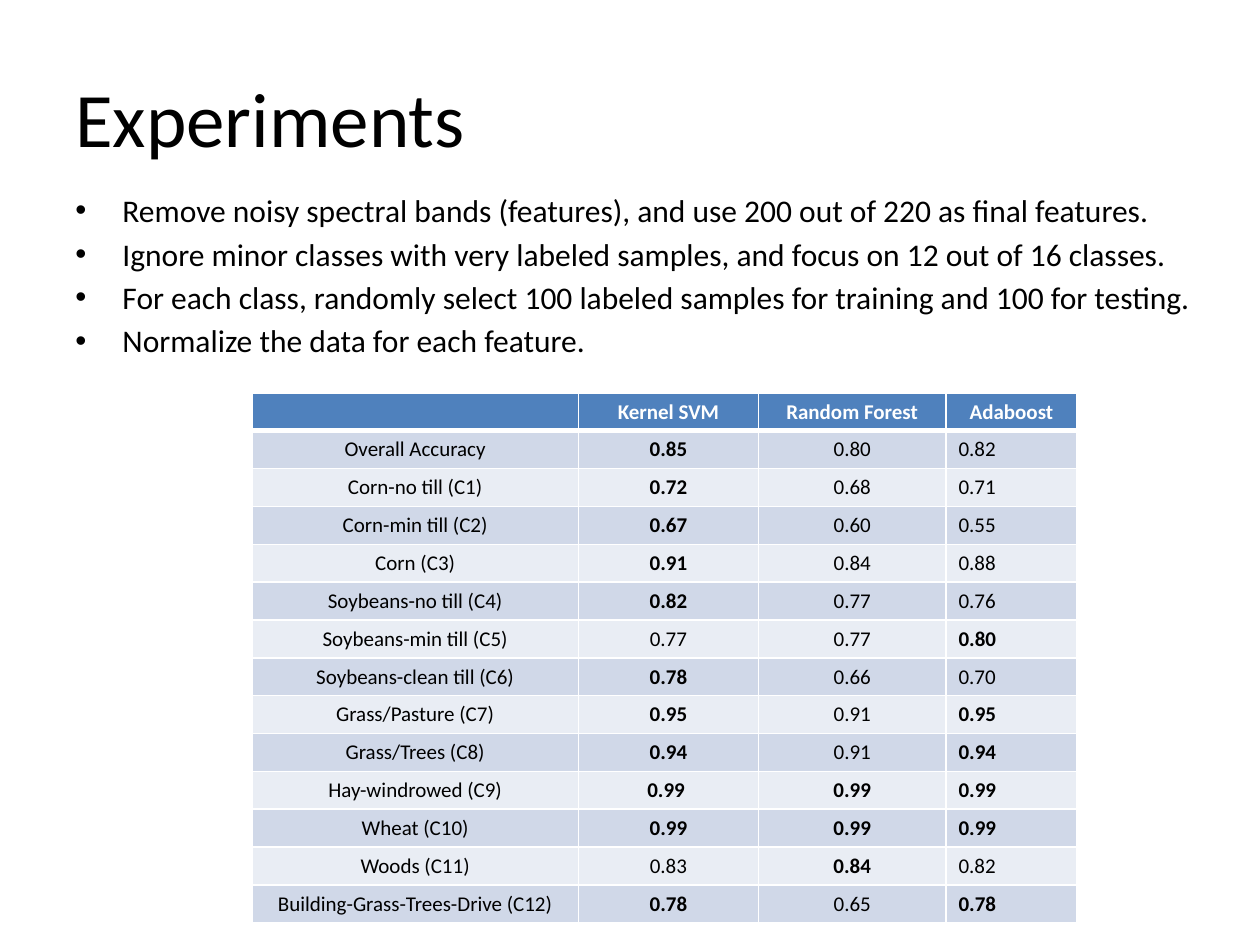
import pptx
import pptx.util
import pptx.dml.color
import pptx.enum.text
import pptx.oxml.ns
from lxml import etree
from pptx.util import Cm

BLACK = pptx.dml.color.RGBColor(0x00, 0x00, 0x00)
WHITE = pptx.dml.color.RGBColor(0xFF, 0xFF, 0xFF)
HEADER_BLUE = pptx.dml.color.RGBColor(0x4F, 0x81, 0xBD)
BAND_DARK = pptx.dml.color.RGBColor(0xD0, 0xD8, 0xE8)
BAND_LIGHT = pptx.dml.color.RGBColor(0xE9, 0xED, 0xF4)

BULLETS = [
    "Remove noisy spectral bands (features), and use 200 out of 220 as final features.",
    "Ignore minor classes with very labeled samples, and focus on 12 out of 16 classes.",
    "For each class, randomly select 100 labeled samples for training and 100 for testing.",
    "Normalize the data for each feature.",
]
HEADERS = ["", "Kernel SVM", "Random Forest", "Adaboost"]
ACCURACIES = [
    ("Overall Accuracy", "0.85", "0.80", "0.82"),
    ("Corn-no till (C1)", "0.72", "0.68", "0.71"),
    ("Corn-min till (C2)", "0.67", "0.60", "0.55"),
    ("Corn (C3)", "0.91", "0.84", "0.88"),
    ("Soybeans-no till (C4)", "0.82", "0.77", "0.76"),
    ("Soybeans-min till (C5)", "0.77", "0.77", "0.80"),
    ("Soybeans-clean till (C6)", "0.78", "0.66", "0.70"),
    ("Grass/Pasture (C7)", "0.95", "0.91", "0.95"),
    ("Grass/Trees (C8)", "0.94", "0.91", "0.94"),
    ("Hay-windrowed (C9)", "0.99 ", "0.99", "0.99"),
    ("Wheat (C10)", "0.99", "0.99", "0.99"),
    ("Woods (C11)", "0.83", "0.84", "0.82"),
    ("Building-Grass-Trees-Drive (C12)", "0.78", "0.65", "0.78"),
]


class SlideBuilder:
    font_name = "Calibri"
    title_size = 44
    body_size = 18
    table_size = 12

    def __init__(self, slide):
        self.slide = slide

    def format_runs(self, paragraph, size, color=BLACK, bold=False):
        for run in paragraph.runs:
            run.font.name = self.font_name
            run.font.size = pptx.util.Pt(size)
            run.font.color.rgb = color
            run.font.bold = bold

    def text_frame(self, left, top, width, height):
        shape = self.slide.shapes.add_textbox(left, top, width, height)
        shape.text_frame.word_wrap = True
        return shape.text_frame

    def title(self, text, *box):
        frame = self.text_frame(*box)
        frame.vertical_anchor = pptx.enum.text.MSO_ANCHOR.MIDDLE
        frame.text = text
        self.format_runs(frame.paragraphs[0], self.title_size)

    def bullets(self, lines, *box):
        frame = self.text_frame(*box)
        frame.text = "\n".join(lines)
        indent = Cm(0.95)
        for paragraph in frame.paragraphs:
            paragraph.space_before = pptx.util.Pt(3.2)
            self.format_runs(paragraph, self.body_size)
            properties = paragraph._p.get_or_add_pPr()
            properties.set("marL", str(indent))
            properties.set("indent", str(-indent))
            for tag, name, value in (("a:buFont", "typeface", "Arial"), ("a:buChar", "char", "•")):
                etree.SubElement(properties, pptx.oxml.ns.qn(tag)).set(name, value)

    def cell_borders(self, cell, bottom_width):
        properties = cell._tc.get_or_add_tcPr()
        widths = {"a:lnL": 1, "a:lnR": 1, "a:lnT": 1, "a:lnB": bottom_width}
        for tag, width in widths.items():
            line = etree.SubElement(properties, pptx.oxml.ns.qn(tag))
            line.set("w", str(pptx.util.Pt(width)))
            fill = etree.SubElement(line, pptx.oxml.ns.qn("a:solidFill"))
            etree.SubElement(fill, pptx.oxml.ns.qn("a:srgbClr")).set("val", str(WHITE))

    def cell(self, cell, text, fill, color, bold, centered, bottom_width=1):
        # Borders come before the fill in the cell properties
        self.cell_borders(cell, bottom_width)
        cell.fill.solid()
        cell.fill.fore_color.rgb = fill
        paragraph = cell.text_frame.paragraphs[0]
        if centered:
            paragraph.alignment = pptx.enum.text.PP_ALIGN.CENTER
        if text:
            paragraph.text = text
            self.format_runs(paragraph, self.table_size, color, bold)
        else:
            # An empty cell needs its own text size to keep the row low
            end = etree.SubElement(paragraph._p, pptx.oxml.ns.qn("a:endParaRPr"))
            end.set("sz", str(self.table_size * 100))

    def table(self, headers, rows, left, top, column_widths, row_height):
        count = len(rows) + 1
        table = self.slide.shapes.add_table(
            count, len(headers), left, top, sum(column_widths), row_height * count
        ).table
        for column, width in zip(table.columns, column_widths):
            column.width = width

        # Header row
        for column, text in enumerate(headers):
            self.cell(table.cell(0, column), text, HEADER_BLUE, WHITE, True, True, 3)

        # Banded rows, with the best accuracy of each in bold
        last = len(headers) - 1
        for row, (label, *values) in enumerate(rows, start=1):
            fill = BAND_DARK if row % 2 else BAND_LIGHT
            best = max(map(float, values))
            for column, text in enumerate([label, *values]):
                bold = column > 0 and float(text) == best
                self.cell(table.cell(row, column), text, fill, BLACK, bold, column < last)


def main():
    presentation = pptx.Presentation()
    presentation.slide_width = Cm(25.4)
    presentation.slide_height = Cm(19.05)
    builder = SlideBuilder(presentation.slides.add_slide(presentation.slide_layouts[6]))

    # Title and experiment setup
    builder.title("Experiments", Cm(1.27), Cm(0.76), Cm(22.86), Cm(3.18))
    builder.bullets(BULLETS, Cm(1.27), Cm(3.73), Cm(24.13), Cm(12.57))

    # Accuracy by class and classifier
    widths = [Cm(6.58), Cm(3.63), Cm(3.78), Cm(2.64)]
    builder.table(HEADERS, ACCURACIES, Cm(5.08), Cm(7.92), widths, Cm(0.76))

    presentation.save("out.pptx")


if __name__ == "__main__":
    main()
